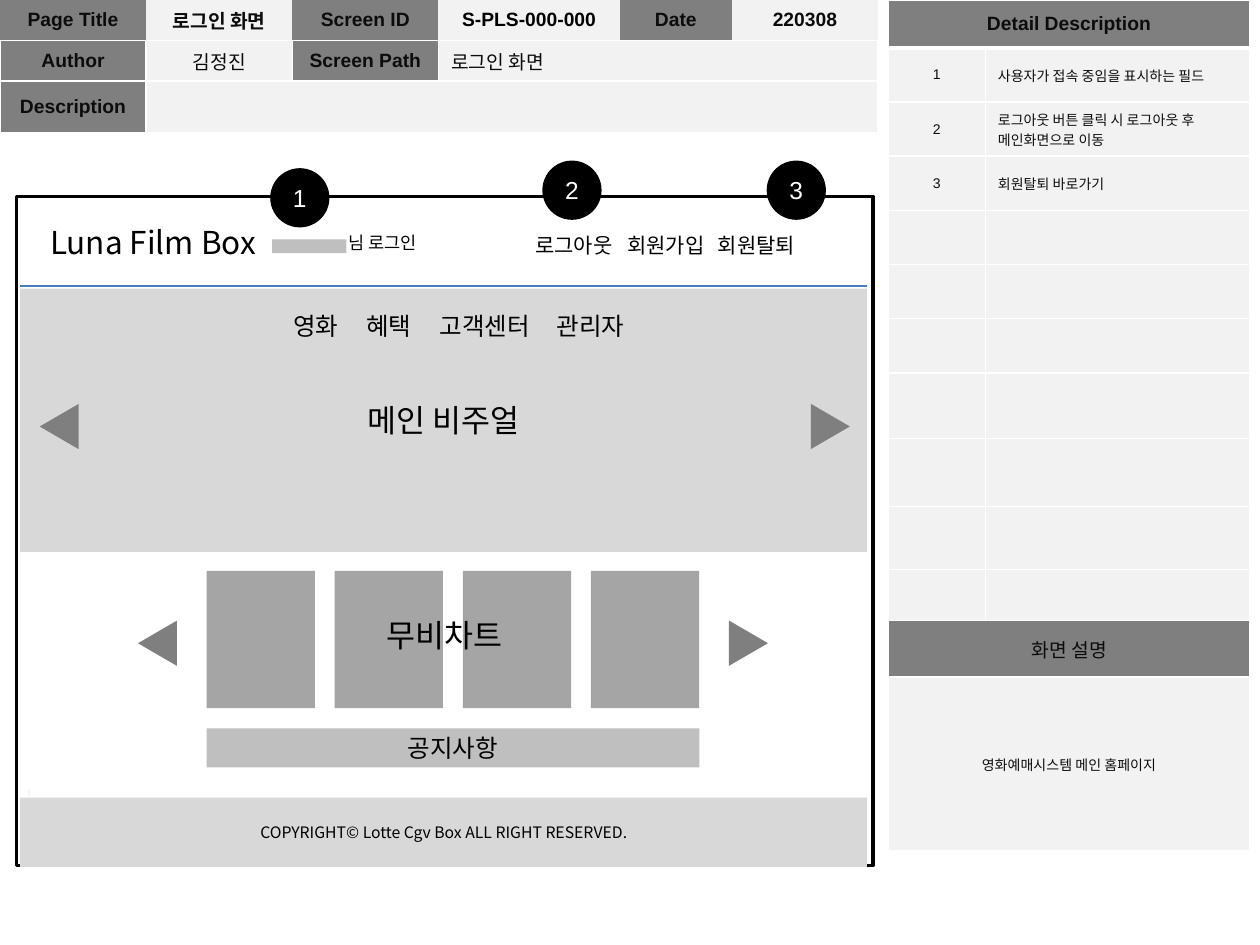
from dataclasses import dataclass
from typing import Any

import pptx
import pptx.dml.color
import pptx.enum.shapes
import pptx.enum.text
import pptx.oxml
import pptx.oxml.ns
import pptx.util

Inches = pptx.util.Inches
Pt = pptx.util.Pt
Shape = pptx.enum.shapes.MSO_SHAPE
Align = pptx.enum.text.PP_ALIGN
Anchor = pptx.enum.text.MSO_ANCHOR
AutoSize = pptx.enum.text.MSO_AUTO_SIZE
qn = pptx.oxml.ns.qn

KOREAN = "Noto Sans CJK KR"
BLACK, WHITE, INK = "000000", "FFFFFF", "0C0C0C"
DARK, PALE, PANEL, BAR, POSTER = "7F7F7F", "F2F2F2", "D8D8D8", "BFBFBF", "A5A5A5"


@dataclass
class Style:
    size: float
    color: str = BLACK
    font: str = KOREAN
    bold: bool = False
    align: Any = Align.CENTER


@dataclass
class Cell:
    row: int
    column: int
    text: str = ""
    style: Style | None = None
    fill: str = PALE
    span: int = 1


@dataclass
class Label:
    text: str
    at: tuple[float, float, float, float]
    style: Style
    stops: tuple[float, ...] = ()


# Formatting
def rgb(value: str):
    return pptx.dml.color.RGBColor.from_string(value)


def set_values(target: Any, values: dict[str, Any]) -> None:
    for name, value in values.items():
        setattr(target, name, value)


def paint(target: Any, color: str) -> None:
    target.solid()
    target.fore_color.rgb = rgb(color)


def child(parent: Any, tag: str, **attributes: str):
    element = parent.makeelement(qn(tag), attributes)
    parent.append(element)
    return element


def write(frame: Any, text: str, style: Style, stops: tuple[float, ...] = ()) -> None:
    para = frame.paragraphs[0]
    para.alignment = style.align
    if stops:
        tabs = child(para._p.get_or_add_pPr(), "a:tabLst")
        for stop in stops:
            child(tabs, "a:tab", pos=str(Inches(stop)), algn="l")
    span = para.add_run()
    span.text = text
    set_values(span.font, {"size": Pt(style.size), "bold": style.bold, "name": style.font})
    span.font.color.rgb = rgb(style.color)
    child(span._r.get_or_add_rPr(), "a:ea", typeface=KOREAN)


def add_border(cell: Any, side: str, width: float) -> None:
    """Width 0 hides the side."""
    properties = cell._tc.get_or_add_tcPr()
    line = child(properties, f"a:ln{side}", w=str(Pt(width)))
    if width:
        child(child(line, "a:solidFill"), "a:srgbClr", val=WHITE)
    else:
        child(line, "a:noFill")


# Drawing
def add_block(page: Any, kind: Any, at: tuple, fill: str | None = None, line: str | None = None,
              width: float = 0.75, turn: float = 0, text: str = "", style: Style | None = None):
    block = page.shapes.add_shape(kind, *map(Inches, at))
    block.shadow.inherit = False
    block.rotation = turn
    if fill:
        paint(block.fill, fill)
    else:
        block.fill.background()
    if line:
        paint(block.line.fill, line)
        block.line.width = Pt(width)
    else:
        block.line.fill.background()
    if style:
        set_values(block.text_frame, {"word_wrap": True, "vertical_anchor": Anchor.MIDDLE})
        write(block.text_frame, text, style)
    return block


def add_label(page: Any, label: Label) -> None:
    box = page.shapes.add_textbox(*map(Inches, label.at))
    set_values(box.text_frame, {"word_wrap": True, "auto_size": AutoSize.SHAPE_TO_FIT_TEXT})
    write(box.text_frame, label.text, label.style, label.stops)


def add_grid(page: Any, left: float, widths: list[float], heights: list[float],
             cells: list[Cell], first_row: dict[str, float]) -> None:
    table = page.shapes.add_table(len(heights), len(widths), Inches(left), 0,
                                  Inches(sum(widths)), Inches(sum(heights))).table
    set_values(table, {"first_row": False, "horz_banding": False})
    for column, width in zip(table.columns, widths):
        column.width = Inches(width)
    for row, height in zip(table.rows, heights):
        row.height = Inches(height)
    for index in range(len(heights)):
        for position in range(len(widths)):
            cell = table.cell(index, position)
            for side in "LRTB":
                add_border(cell, side, 1 if index else first_row[side])
            paint(cell.fill, PALE)
    for item in cells:
        cell = table.cell(item.row, item.column)
        if item.span > 1:
            cell.merge(table.cell(item.row, item.column + item.span - 1))
        paint(cell.fill, item.fill)
        cell.vertical_anchor = Anchor.MIDDLE
        if item.style:
            write(cell.text_frame, item.text, item.style)


def add_arrows(page: Any, lefts: tuple[float, float], top: float) -> None:
    for left, turn in zip(lefts, (270, 90)):
        add_block(page, Shape.ISOSCELES_TRIANGLE, (left, top, 0.36, 0.31), DARK, turn=turn)


def main() -> None:
    deck = pptx.Presentation()
    set_values(deck, {"slide_width": Inches(10), "slide_height": Inches(7.5)})
    page = deck.slides.add_slide(deck.slide_layouts[5])

    # Site name, with narrow margins so that it stays on one line
    title = page.shapes.title
    set_values(title, dict(zip(("left", "top", "width", "height"),
                               map(Inches, (0.31, 1.72, 1.81, 0.4)))))
    set_values(title.text_frame, {"word_wrap": True, "auto_size": AutoSize.NONE,
                                  "vertical_anchor": Anchor.TOP,
                                  "margin_left": 0, "margin_right": 0})
    write(title.text_frame, "Luna Film Box", Style(18))

    # Detail description table
    head = Style(11, INK, "Arial", True)
    plain = Style(11, INK, "Arial")
    small = Style(8, INK, "Arial")
    note = Style(8, INK, "Arial", align=Align.LEFT)
    notes = ["사용자가 접속 중임을 표시하는 필드", "로그아웃 버튼 클릭 시 로그아웃 후 메인화면으로 이동", "회원탈퇴 바로가기"]
    details = [Cell(0, 0, "Detail Description", head, DARK, 2),
               Cell(11, 0, "화면 설명", plain, DARK, 2),
               Cell(12, 0, "영화예매시스템 메인 홈페이지", small, span=2)]
    for number, text in enumerate(notes, 1):
        details += [Cell(number, 0, str(number), small), Cell(number, 1, text, note)]
    add_grid(page, 7.05, [0.77, 2.1], [0.38] + [0.43] * 6 + [0.52, 0.54, 0.5, 0.36, 0.45, 1.38],
             details, {"L": 1, "R": 1, "T": 1, "B": 3})

    # Main visual
    add_block(page, Shape.RECTANGLE, (0.16, 2.29, 6.72, 2.09), PANEL,
              text="메인 비주얼", style=Style(18))

    # Screen information table
    black_head = Style(11, BLACK, "Arial", True)
    top_row = [("Page Title", head), ("로그인 화면", head), ("Screen ID", head),
               ("S-PLS-000-000", black_head), ("Date", head), ("220308", head)]
    information = [Cell(0, column, text, style, PALE if column % 2 else DARK)
                   for column, (text, style) in enumerate(top_row)]
    information += [Cell(1, 0, "Author", head, DARK), Cell(1, 1, "김정진", plain),
                    Cell(1, 2, "Screen Path", head, DARK),
                    Cell(1, 3, "로그인 화면", Style(11, INK, "Arial", align=Align.LEFT), span=3),
                    Cell(2, 0, "Description", head, DARK), Cell(2, 1, span=5)]
    add_grid(page, 0, [1.16, 1.16, 1.16, 1.44, 0.89, 1.16], [0.31, 0.32, 0.32],
             information, {"L": 0, "R": 0, "T": 0, "B": 1})

    # Screen frame, header and menus
    add_label(page, Label("1", (0.1, 6.19, 0.26, 0.24), Style(8, PALE)))
    add_block(page, Shape.RECTANGLE, (0.13, 1.56, 6.8, 5.31), line=BLACK, width=2)
    add_label(page, Label("로그아웃\t회원가입\t회원탈퇴", (4.15, 1.8, 2.57, 0.3),
                          Style(12, align=Align.LEFT), (0.73, 1.45)))
    rule = page.shapes.add_connector(pptx.enum.shapes.MSO_CONNECTOR.STRAIGHT,
                                     *map(Inches, (0.16, 2.27, 6.88, 2.27)))
    paint(rule.line.fill, "4A7DBA")
    rule.line.width = Pt(0.75)
    child(rule._element.spPr, "a:effectLst")
    add_label(page, Label("영화\t혜택\t고객센터\t관리자", (2.23, 2.42, 3.11, 0.34),
                          Style(14, align=Align.LEFT), (0.58, 1.16, 2.09)))
    add_arrows(page, (0.29, 6.41), 3.23)

    # Movie chart
    for index in range(4):
        add_block(page, Shape.RECTANGLE, (1.64 + index * 3.05 / 3, 4.53, 0.86, 1.09), POSTER)
    add_arrows(page, (1.07, 5.76), 4.95)

    # Notice bar and footer
    add_block(page, Shape.RECTANGLE, (1.64, 5.78, 3.91, 0.31), BAR,
              text="공지사항", style=Style(14))
    add_block(page, Shape.RECTANGLE, (0.16, 6.33, 6.72, 0.55), PANEL,
              text="COPYRIGHT© Lotte Cgv Box ALL RIGHT RESERVED.", style=Style(9))
    add_label(page, Label("무비차트", (2.97, 4.84, 1.21, 0.4), Style(18, align=Align.LEFT)))

    # Signed-in user
    add_label(page, Label("님 로그인", (2.67, 1.79, 0.87, 0.27), Style(10, align=Align.LEFT)))
    add_block(page, Shape.RECTANGLE, (2.16, 1.9, 0.59, 0.11), BAR)

    # Numbered markers
    for number, (left, top) in enumerate([(2.15, 1.34), (4.31, 1.28), (6.09, 1.28)], 1):
        add_block(page, Shape.OVAL, (left, top, 0.46, 0.46), BLACK, BLACK,
                  text=str(number), style=Style(14, WHITE, "Arial"))

    deck.save("out.pptx")


if __name__ == "__main__":
    main()
